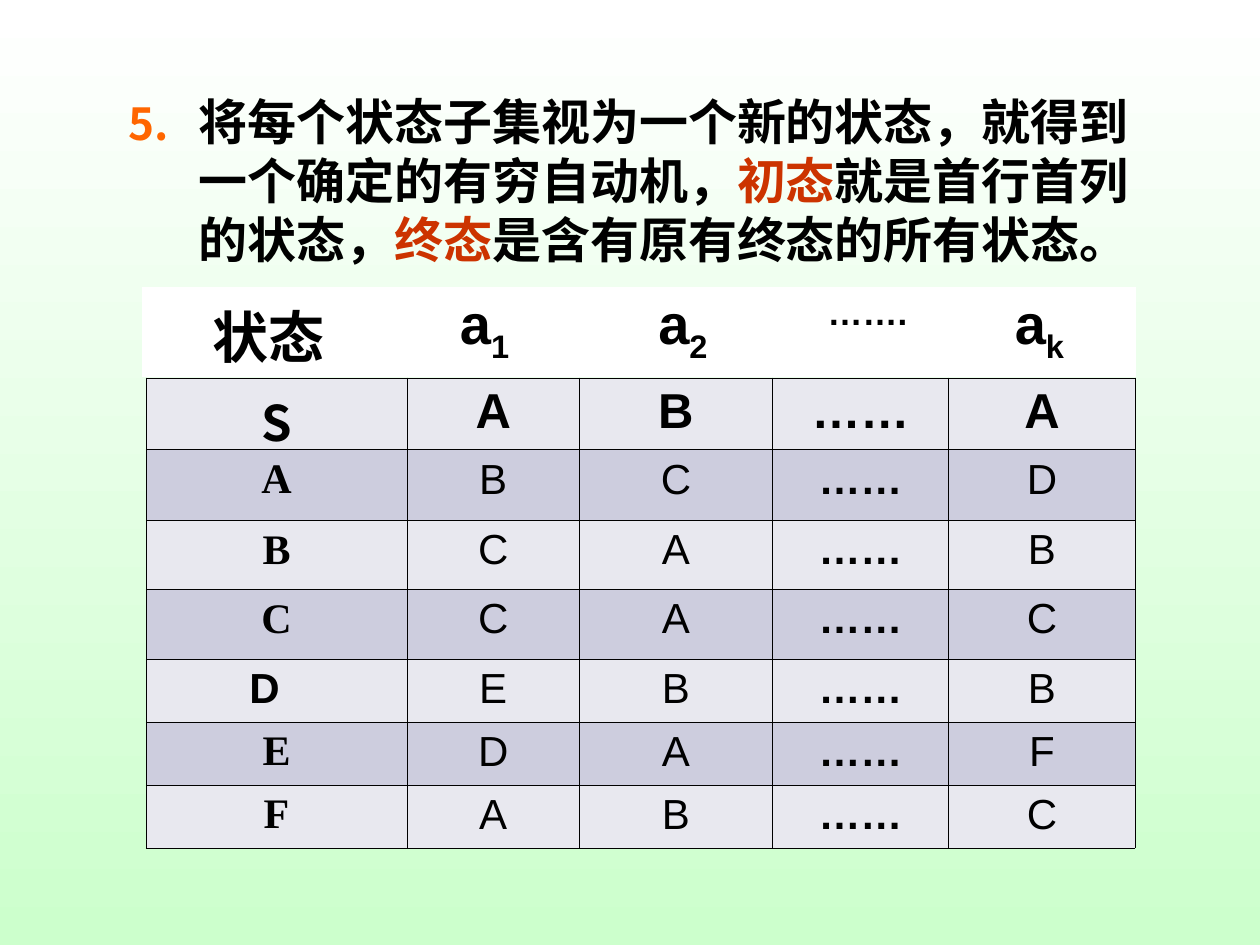
import lxml.etree
import pptx
import pptx.dml.color
import pptx.enum.text
import pptx.oxml.ns
import pptx.util

Inches = pptx.util.Inches
Pt = pptx.util.Pt
qn = pptx.oxml.ns.qn

COLORS = {
    "black": "000000",
    "white": "FFFFFF",
    "mint": "CCFFCC",
    "red": "CC3300",
    "orange": "FF6600",
    "light": "E8E8EF",
    "dark": "CDCDDE",
}
CJK = "Noto Sans CJK SC"
LATIN = "Arial"
SERIF = "Times New Roman"


def rgb(name):
    return pptx.dml.color.RGBColor.from_string(COLORS[name])


def add_element(parent, tag, **attributes):
    return lxml.etree.SubElement(parent, qn(tag), attributes)


class StateSlide:
    """Holds the deck style and the current slide, and adds elements to it."""

    def __init__(self):
        self.deck = pptx.Presentation()
        self.deck.slide_width, self.deck.slide_height = Inches(10), Inches(7.5)
        self.slide = self.deck.slides.add_slide(self.deck.slide_layouts[6])

    def background(self, top, bottom):
        fill = self.slide.background.fill
        fill.gradient()
        fill.gradient_angle = 270
        for stop, position, color in zip(fill.gradient_stops, (0, 1), (top, bottom)):
            stop.position = position
            stop.color.rgb = rgb(color)

    def style(self, paragraph, size, face=LATIN, bold=True):
        font = paragraph.font
        font.size, font.name, font.bold = Pt(size), face, bold
        font.color.rgb = rgb("black")

    def run(self, paragraph, text, color=None, subscript=False):
        run = paragraph.add_run()
        run.text = text
        properties = run.font._element
        if color:
            run.font.color.rgb = rgb(color)
        if subscript:
            properties.set("baseline", "-25000")
        if any("\u4e00" <= letter <= "\u9fff" for letter in text):
            add_element(properties, "a:ea", typeface=CJK)

    def numbered_text(self, box, number, pieces):
        frame = self.slide.shapes.add_textbox(*map(Inches, box)).text_frame
        frame.word_wrap = True
        paragraph = frame.paragraphs[0]
        properties = paragraph._p.get_or_add_pPr()
        properties.set("marL", str(Inches(1.06)))
        properties.set("indent", str(Inches(-0.56)))
        color = add_element(properties, "a:buClr")
        add_element(color, "a:srgbClr", val=COLORS["orange"])
        add_element(properties, "a:buSzPct", val="90000")
        add_element(properties, "a:buFont", typeface=CJK)
        add_element(properties, "a:buAutoNum", type="arabicPeriod", startAt=str(number))
        self.style(paragraph, 28)
        for text, color in pieces:
            self.run(paragraph, text, color)

    def table(self, left, top, widths, heights):
        table = self.slide.shapes.add_table(
            len(heights), len(widths), Inches(left), Inches(top),
            Inches(sum(widths)), Inches(sum(heights))).table
        table.first_row = table.horz_banding = False
        for column, width in zip(table.columns, widths):
            column.width = Inches(width)
        for row, height in zip(table.rows, heights):
            row.height = Inches(height)
        return table

    def cell(self, cell, pieces, fill, size, face=LATIN, bold=True, border=False):
        if border:
            properties = cell._tc.get_or_add_tcPr()
            for side in ("a:lnL", "a:lnR", "a:lnT", "a:lnB"):
                line = add_element(properties, side, w=str(Pt(0.45)))
                solid = add_element(line, "a:solidFill")
                add_element(solid, "a:srgbClr", val=COLORS["black"])
        cell.fill.solid()
        cell.fill.fore_color.rgb = rgb(fill)
        paragraph = cell.text_frame.paragraphs[0]
        paragraph.alignment = pptx.enum.text.PP_ALIGN.CENTER
        self.style(paragraph, size, face, bold)
        for index, text in enumerate(pieces):
            self.run(paragraph, text, subscript=index > 0)

    def transitions(self, rows):
        table = self.table(1.16, 3, (2.07, 1.37, 1.53, 1.4, 1.48),
                           (0.57, 0.56, 0.55, 0.55, 0.5, 0.5, 0.5))
        for r, (state, first, second, last) in enumerate(rows):
            fill = "dark" if r % 2 else "light"
            start = r == 0
            size = 28 if start else 24
            state_face = {"S": CJK, "D": LATIN}.get(state, SERIF)
            for c, text in enumerate((state, first, second, "……", last)):
                self.cell(table.cell(r, c), [text], fill, size,
                          face=LATIN if c else state_face,
                          bold=start or c in (0, 3), border=True)
            if state == "D":
                table.cell(r, 0).margin_right = Inches(0.29)

    def symbols(self, headings):
        table = self.table(1.13, 2.28, (2, 1.43, 1.72, 1.21, 1.52), (0.71,))
        for c, pieces in enumerate(headings):
            self.cell(table.cell(0, c), pieces, "white",
                      size=20 if c == 3 else 32, face=LATIN if c else SERIF)


def main():
    page = StateSlide()
    page.background("white", "mint")
    page.numbered_text((0.42, 0.68, 9, 1.6), 5, [
        ("将每个状态子集视为一个新的状态，就得到一个确定的有穷自动机，", None),
        ("初态", "red"),
        ("就是首行首列的状态，", None),
        ("终态", "red"),
        ("是含有原有终态的所有状态。", None),
    ])
    page.transitions(["SABA", "ABCD", "BCAB", "CCAC", "DEBB", "EDAF", "FABC"])
    page.symbols([("状态",), ("a", "1"), ("a", "2"), ("…….",), ("a", "k")])
    page.deck.save("out.pptx")


if __name__ == "__main__":
    main()
